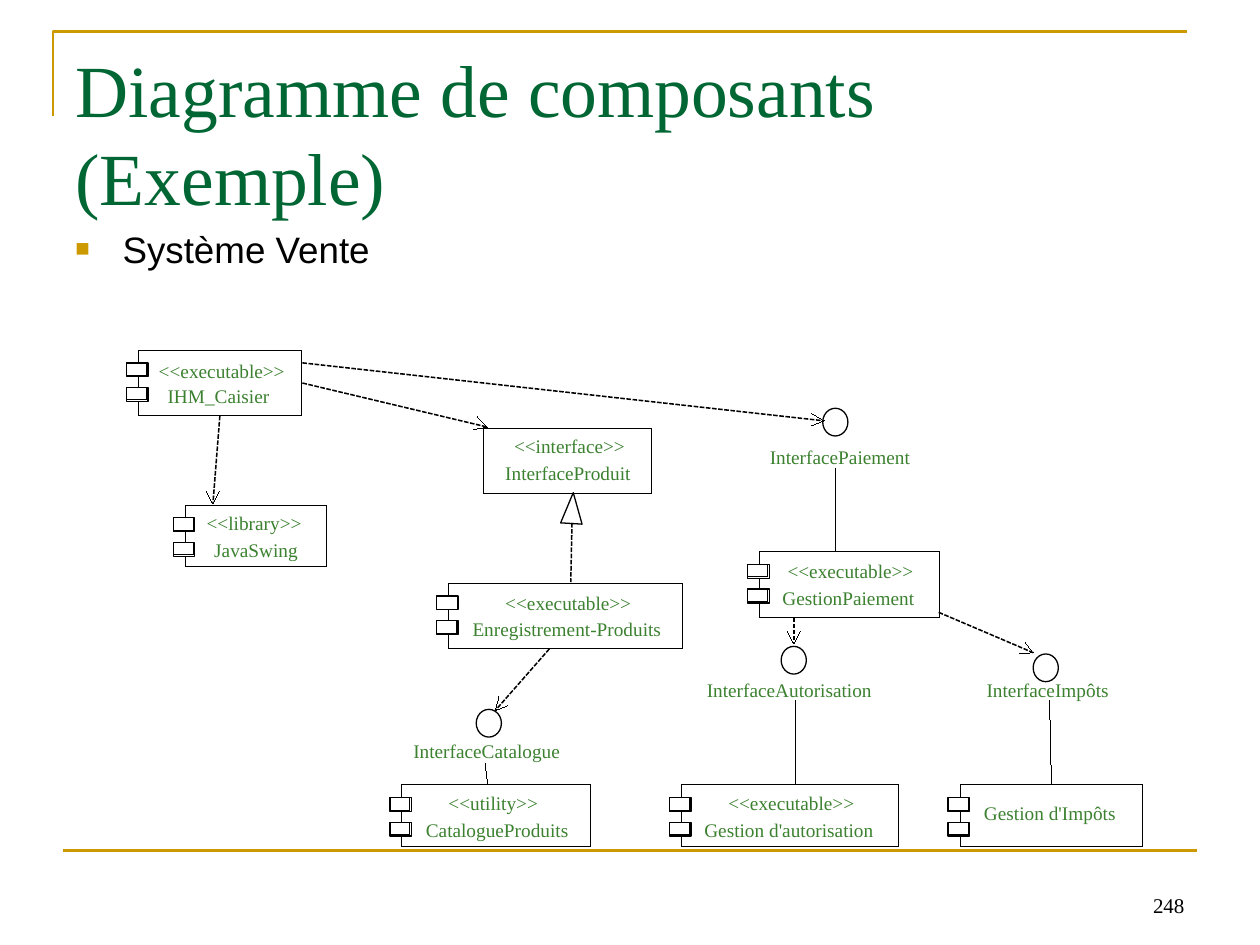
"""Build the UML component diagram slide of the sales system."""
from lxml import etree
from pptx import Presentation
from pptx.dml.color import RGBColor
from pptx.enum.dml import MSO_LINE
from pptx.enum.shapes import MSO_CONNECTOR, MSO_SHAPE
from pptx.enum.text import MSO_ANCHOR, MSO_AUTO_SIZE, PP_ALIGN
from pptx.oxml.ns import qn
from pptx.util import Inches, Pt

STRAIGHT = MSO_CONNECTOR.STRAIGHT
RECTANGLE, OVAL = MSO_SHAPE.RECTANGLE, MSO_SHAPE.OVAL
DASH = MSO_LINE.SQUARE_DOT
TOP, BOTTOM = MSO_ANCHOR.TOP, MSO_ANCHOR.BOTTOM
LEFT, RIGHT = PP_ALIGN.LEFT, PP_ALIGN.RIGHT
FIT, FIXED = MSO_AUTO_SIZE.SHAPE_TO_FIT_TEXT, MSO_AUTO_SIZE.NONE

GOLD = RGBColor(0xCC, 0x99, 0x00)
DARK_GREEN = RGBColor(0x00, 0x66, 0x33)
GREEN = RGBColor(0x3B, 0x81, 0x2F)
BLACK = RGBColor(0x00, 0x00, 0x00)
WHITE = RGBColor(0xFF, 0xFF, 0xFF)
SERIF, SANS = "Times New Roman", "Arial"
HAIRLINE = 0.01
SLACK = 0.2

deck = Presentation()
deck.slide_width, deck.slide_height = Inches(10), Inches(7.5)
page = deck.slides.add_slide(deck.slide_layouts[6])
shapes = page.shapes
CELL = deck.slide_width / 100


def grid(*lengths):
    """Turn columns and rows of the 100 by 75 grid into slide lengths."""
    return [round(CELL * length) for length in lengths]


def write(text, area, size=11, color=GREEN, font=SERIF, align=LEFT, anchor=TOP,
          margins=(1, 0.5, 1, 0.5), wrap=True, bullet=None):
    """Add a text box, one line of text per line break."""
    box = shapes.add_textbox(*grid(*area))
    frame = box.text_frame
    frame.word_wrap, frame.vertical_anchor = wrap, anchor
    frame.auto_size = FIXED if wrap else FIT
    (frame.margin_left, frame.margin_top,
     frame.margin_right, frame.margin_bottom) = grid(*margins)
    para = frame.paragraphs[0]
    para.text = text
    para.alignment = align
    if bullet:
        props = para._p.get_or_add_pPr()
        indent = grid(3.75)[0]
        props.set("marL", str(indent))
        props.set("indent", str(-indent))
        tint = etree.SubElement(props, qn("a:buClr"))
        etree.SubElement(tint, qn("a:srgbClr"), val=str(GOLD))
        etree.SubElement(props, qn("a:buSzPct"), val="65000")
        etree.SubElement(props, qn("a:buFont"), typeface=SANS)
        etree.SubElement(props, qn("a:buChar"), char=bullet)
    for span in para.runs:
        span.font.size, span.font.name = Pt(size), font
        span.font.color.rgb = color


write("248", (71.7, 68.3, 23.3, 5), size=12, color=BLACK, align=RIGHT,
      anchor=BOTTOM)
write("Diagramme de composants\v(Exemple)", (5, 3, 90, 12.5), size=42,
      color=DARK_GREEN)
write("Système Vente", (5, 17.5, 90, 6.6), size=21, color=BLACK, font=SANS,
      bullet="■")

strokes = []

components = {
    "cashier": (11, 27.8, 12.9, 5.2),
    "catalogue": (31.9, 62.3, 15, 4.9),
    "recording": (35.6, 46.3, 18.6, 5.2),
    "authorisation": (54.1, 62.3, 17.2, 4.9),
    "payment": (60.3, 43.8, 14.3, 5.2),
    "library": (14.7, 40.1, 11.2, 4.9),
    "taxes": (76.2, 62.3, 14.5, 4.9),
    "product interface": (38.4, 34, 13.3, 5.2),
}
boxes = {}
for name, area in components.items():
    boxes[name] = shapes.add_shape(RECTANGLE, *grid(*area))
    boxes[name].fill.background()
    strokes.append((boxes[name], HAIRLINE, BLACK, None))
    if name == "product interface":
        continue
    for drop in (1, 2.95):
        corner = (area[0] - 0.95, area[1] + drop)
        tab = shapes.add_shape(RECTANGLE, *grid(*corner, 1.7, 1.1))
        tab.fill.solid()
        tab.fill.fore_color.rgb = WHITE
        strokes.append((tab, 0.75, BLACK, None))
        if name == "recording" and drop == 1:
            continue
        inset = shapes.add_shape(RECTANGLE, *grid(*corner, 1.6, 1))
        inset.fill.background()
        strokes.append((inset, HAIRLINE, BLACK, None))

labels = [
    ("<<executable>>", 12.6, 28.5, 10), ("IHM_Caisier", 13.3, 30.5, 8.1),
    ("<<utility>>", 35.6, 62.8, 7.1), ("CatalogueProduits", 33.8, 64.9, 11.3),
    ("<<executable>>", 40.1, 46.9, 10),
    ("Enregistrement-Produits", 37.5, 49, 15),
    ("<<interface>>", 40.8, 34.5, 8.8), ("InterfaceProduit", 40.1, 36.6, 10),
    ("InterfaceCatalogue", 32.8, 58.7, 11.7),
    ("<<executable>>", 57.8, 62.8, 10),
    ("Gestion d'autorisation", 55.9, 64.9, 13.4),
    ("InterfaceAutorisation", 56.1, 53.8, 13.1),
    ("<<executable>>", 62.5, 44.4, 10), ("GestionPaiement", 62.1, 46.5, 10.5),
    ("InterfacePaiement", 61.1, 35.3, 11.2),
    ("<<library>>", 16.4, 40.6, 7.6), ("JavaSwing", 17, 42.7, 6.7),
    ("Gestion d'Impôts", 78.1, 63.6, 10.5),
    ("InterfaceImpôts", 78.3, 53.8, 9.7),
]
for text, left, top, width in labels:
    write(text, (left, top, width + SLACK, 1.8), margins=(0, 0, 0, 0),
          wrap=False)

dependencies = [
    ((45.4, 41.5), (45.3, 46.2), None, None),
    ((43.6, 51.5), (39.3, 56.4), None, None),
    ((24, 30.4), (38.7, 33.9), None, None),
    ((24, 28.8), (65.4, 33.4), None, None),
    ((63, 49), (63, 51.1), None, None),
    ((17.2, 33), (16.9, 40), "cashier", 2),
    ((74.5, 48.6), (82, 51.8), None, None),
]
realizations = [
    ((38.7, 62.2), (38.5, 60.6), None, None),
    ((63.1, 62.2), (63.1, 55.6), None, None),
    ((66.3, 43.7), (66.3, 37.2), None, None),
    ((83.4, 62.2), (83.3, 55.6), "taxes", 0),
]
footer_rule = [((5, 67.5), (95, 67.5), None, None)]
for links, weight, color, dash in [(dependencies, 0.88, BLACK, DASH),
                                   (realizations, HAIRLINE, BLACK, None),
                                   (footer_rule, 1.5, GOLD, None)]:
    for start, end, name, side in links:
        link = shapes.add_connector(STRAIGHT, *grid(*start, *end))
        if name:
            link.begin_connect(boxes[name], side)
        strokes.append((link, weight, color, dash))

outlines = [
    ([(4.2, 9.2), (4.2, 2.5), (94.2, 2.5)], False, 1.5, GOLD),
    ([(45.5, 39.1), (46.2, 41.6), (44.5, 41.5)], True, 0.75, BLACK),
    ([(39.6, 55.3), (39.3, 56.4), (40.3, 56)], False, HAIRLINE, BLACK),
    ([(37.6, 34.1), (38.7, 33.9), (37.9, 33.1)], False, HAIRLINE, BLACK),
    ([(64.4, 33.8), (65.4, 33.4), (64.4, 32.8)], False, HAIRLINE, BLACK),
    ([(63.5, 50.1), (63, 51.1), (62.5, 50.1)], False, HAIRLINE, BLACK),
    ([(16.4, 39), (16.9, 40), (17.4, 39)], False, HAIRLINE, BLACK),
    ([(80.9, 51.9), (82, 51.8), (81.4, 51)], False, HAIRLINE, BLACK),
]
for points, closed, weight, color in outlines:
    first, *rest = [grid(*point) for point in points]
    builder = shapes.build_freeform(*first)
    builder.add_line_segments(rest, close=closed)
    outline = builder.convert_to_shape()
    outline.fill.background()
    strokes.append((outline, weight, color, None))

for left, top in [(65.3, 32.4), (37.8, 56.3), (62, 51.3), (82, 51.9)]:
    port = shapes.add_shape(OVAL, *grid(left, top, 2, 2.2))
    port.fill.background()
    strokes.append((port, 0.75, BLACK, None))

for drawn, weight, color, dash in strokes:
    drawn.line.color.rgb = color
    drawn.line.width = Pt(weight)
    if dash:
        drawn.line.dash_style = dash
    etree.SubElement(drawn._element.spPr, qn("a:effectLst"))

deck.save("out.pptx")
